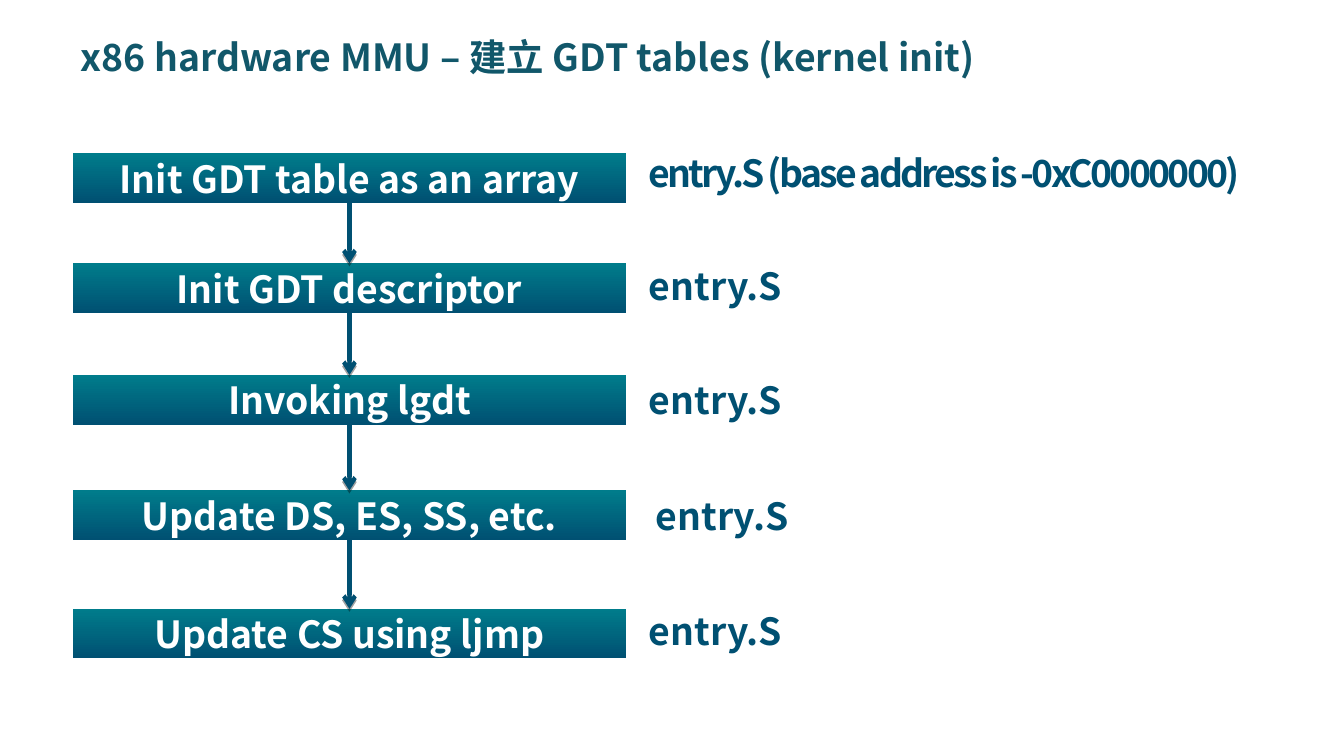
from pptx import Presentation
from pptx.dml.color import RGBColor
from pptx.enum.shapes import MSO_CONNECTOR as Link, MSO_SHAPE as Kind
from pptx.enum.text import MSO_ANCHOR as Anchor, MSO_AUTO_SIZE as Fit, PP_ALIGN as Align
from pptx.oxml import parse_xml
from pptx.oxml.ns import nsdecls, qn
from pptx.util import Inches, Pt

TITLE = RGBColor(0x11, 0x57, 0x6A)
TEAL = RGBColor(0x00, 0x7C, 0x8B)
NAVY = RGBColor(0x00, 0x50, 0x72)
WHITE = RGBColor(0xFF, 0xFF, 0xFF)
FACE = "Noto Sans CJK SC"
LEFT, WIDTH, HEIGHT = 0.54, 4.12, 0.37

# Step, its top, note, note left, top and width, letter spacing
STEPS = [
    ("Init GDT table as an array", 1.14,
     "entry.S (base address is -0xC0000000)", 4.73, 1.07, 5.94, -1.5),
    ("Init GDT descriptor", 1.96, "entry.S", 4.73, 1.91, 1.64, 0),
    ("Invoking lgdt", 2.79, "entry.S", 4.73, 2.76, 1.62, 0),
    ("Update DS, ES, SS, etc.", 3.65, "entry.S", 4.78, 3.62, 2.09, 0),
    ("Update CS using ljmp", 4.53, "entry.S", 4.73, 4.48, 1.64, 0),
]


def write(shape, text, color, anchor=Anchor.TOP, align=Align.LEFT, gap=0):
    frame = shape.text_frame
    form = {"word_wrap": True, "auto_size": Fit.NONE, "vertical_anchor": anchor}
    for key, val in form.items():
        setattr(frame, key, val)
    para = frame.paragraphs[0]
    para.alignment = align
    run = para.add_run()
    run.text = text
    for key, val in {"name": FACE, "size": Pt(20), "bold": True}.items():
        setattr(run.font, key, val)
    run.font.color.rgb = color
    props = run.font._element
    props.find(qn("a:latin")).addnext(
        parse_xml(f'<a:ea {nsdecls("a")} typeface="{FACE}"/>'))
    if gap:
        props.set("spc", str(int(gap * 100)))
    return para


# Widescreen slide, 16 to 9
deck = Presentation()
deck.slide_width, deck.slide_height = Inches(10), Inches(10 * 9 / 16)
slide = deck.slides.add_slide(deck.slide_layouts[5])
shapes = slide.shapes

# Title
title = shapes.title
place = {"left": 0.5, "top": 0.23, "width": 9.29, "height": 0.45}
for key, val in place.items():
    setattr(title, key, Inches(val))
para = write(title, "x86 hardware MMU – 建立 GDT tables (kernel init)", TITLE)
para.line_spacing = 0.95

# Steps with their notes
for step, top, note, left, high, wide, gap in STEPS:
    box = shapes.add_shape(Kind.FLOWCHART_PROCESS, Inches(LEFT), Inches(top),
                           Inches(WIDTH), Inches(HEIGHT))
    box.shadow.inherit = False
    box.line.fill.background()
    box.fill.gradient()
    box.fill.gradient_angle = 270
    for stop, color in zip(box.fill.gradient_stops, (TEAL, NAVY)):
        stop.color.rgb = color
    write(box, step, WHITE, Anchor.MIDDLE, Align.CENTER)
    label = shapes.add_textbox(Inches(left), Inches(high), Inches(wide), Inches(0.44))
    write(label, note, NAVY, gap=gap)

# Arrows from each step to the next
mid = Inches(LEFT + WIDTH / 2)
tops = [step[1] for step in STEPS]
for top, goal in zip(tops, tops[1:]):
    arrow = shapes.add_connector(Link.STRAIGHT, mid, Inches(top + HEIGHT),
                                 mid, Inches(goal))
    arrow.line.width = Pt(2.25)
    arrow.line.color.rgb = NAVY
    arrow.line._get_or_add_ln().append(
        parse_xml(f'<a:tailEnd {nsdecls("a")} type="arrow"/>'))
    arrow._element.spPr.append(parse_xml(
        f'<a:effectLst {nsdecls("a")}>'
        f'<a:outerShdw blurRad="0" dist="{Pt(1.6)}" dir="5400000" rotWithShape="0">'
        '<a:srgbClr val="000000"><a:alpha val="36000"/></a:srgbClr>'
        '</a:outerShdw></a:effectLst>'))

deck.save("out.pptx")
